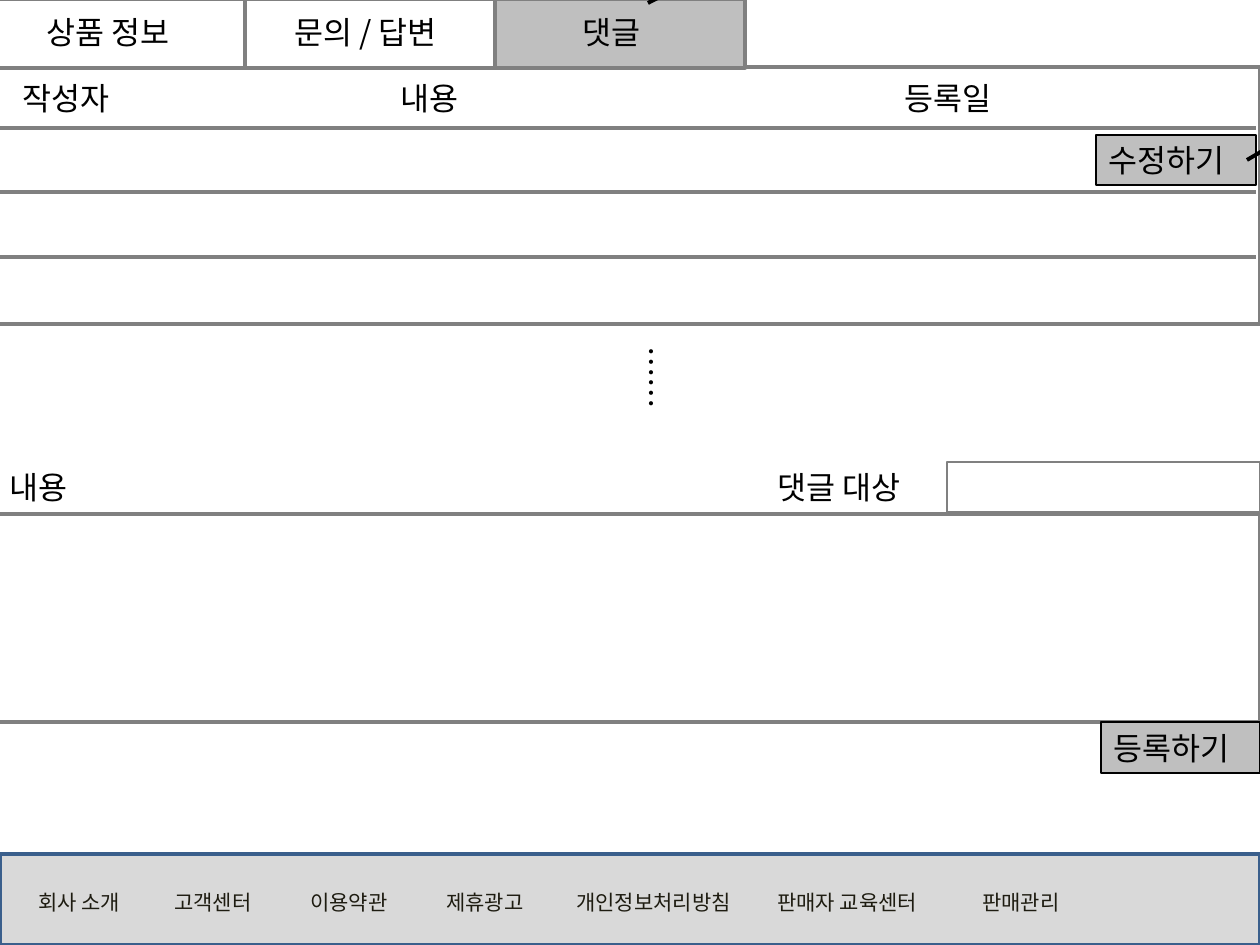
from pptx import Presentation, util as u
from pptx.dml.color import RGBColor
from pptx.enum import shapes, text
from pptx.oxml.ns import qn
from lxml import etree

BLACK = RGBColor(0x00, 0x00, 0x00)
WHITE = RGBColor(0xFF, 0xFF, 0xFF)
GRAY = RGBColor(0x80, 0x80, 0x80)
ACTIVE = RGBColor(0xBF, 0xBF, 0xBF)
FOOTER = RGBColor(0xD9, 0xD9, 0xD9)
NAVY = RGBColor(0x3A, 0x5F, 0x8C)
INK = RGBColor(0x1E, 0x1C, 0x11)
FONT = "Noto Sans CJK KR"
EMU_PER_PX = 914400 / 126


def px(length):
    return u.Emu(round(length * EMU_PER_PX))


class Wireframe:
    """Draws wireframe elements in px on one slide."""

    def __init__(self, slide):
        self.shapes = slide.shapes

    def box(self, x, y, w, h, fill=WHITE, line=GRAY, weight=2):
        box = self.shapes.add_shape(shapes.MSO_SHAPE.RECTANGLE, px(x), px(y), px(w), px(h))
        box.shadow.inherit = False
        if fill is None:
            box.fill.background()
        else:
            box.fill.solid()
            box.fill.fore_color.rgb = fill
        box.line.color.rgb = line
        box.line.width = u.Pt(weight)
        return box

    def set_words(self, shape, words, size=18, color=BLACK, tabs=()):
        frame = shape.text_frame
        frame.word_wrap = True
        frame.vertical_anchor = text.MSO_ANCHOR.MIDDLE
        frame.text = words
        paragraph = frame.paragraphs[0]
        paragraph.alignment = text.PP_ALIGN.LEFT
        if tabs:
            stops = etree.SubElement(paragraph._p.get_or_add_pPr(), qn("a:tabLst"))
            for stop in tabs:
                etree.SubElement(stops, qn("a:tab"), pos=str(px(stop)), algn="l")
        for run in paragraph.runs:
            run.font.size = u.Pt(size)
            run.font.color.rgb = color
            run.font.name = FONT
            etree.SubElement(run._r.get_or_add_rPr(), qn("a:ea"), typeface=FONT)

    def label(self, x, y, w, h, words, **style):
        label = self.shapes.add_textbox(px(x), px(y), px(w), px(h))
        self.set_words(label, words, **style)
        return label

    def button(self, x, y, w, h, words):
        self.set_words(self.box(x, y, w, h, ACTIVE, BLACK, 0.75), words)

    def line(self, x1, y1, x2, y2, color=GRAY, arrow=False):
        line = self.shapes.add_connector(
            shapes.MSO_CONNECTOR.STRAIGHT, px(x1), px(y1), px(x2), px(y2))
        line.line.color.rgb = color
        line.line.width = u.Pt(2.25)
        if arrow:
            etree.SubElement(line.get_or_add_ln(), qn("a:tailEnd"), type="arrow")
        etree.SubElement(line._element.spPr, qn("a:effectLst"))


def main():
    deck = Presentation()
    deck.slide_width, deck.slide_height = px(1260), px(945)
    page = Wireframe(deck.slides.add_slide(deck.slide_layouts[6]))

    page.box(0, 854, 1260, 91, FOOTER, NAVY)
    footer_links = ["회사 소개", "고객센터", "이용약관", "제휴광고",
                    "개인정보처리방침", "판매자 교육센터", "판매관리"]
    page.label(26, 883, 1201, 38, "\t".join(footer_links), size=12, color=INK,
               tabs=(136, 272, 408, 538, 739, 944))

    page.box(-5, 67, 1265, 257)
    page.label(10, 73, 1237, 50, "작성자\t내용\t등록일", tabs=(378, 882))
    for row_y in (128, 192, 257):
        page.line(-9, row_y, 1256, row_y)
    more_rows = page.label(621, 334, 63, 105, "……")
    more_rows.text_frame._txBody.bodyPr.set("vert", "eaVert")

    tabs = [("상품 정보", 34, WHITE), ("문의 / 답변", 282, WHITE), ("댓글", 570, ACTIVE)]
    for i, (_, _, fill) in enumerate(tabs):
        page.box(-5 + 250 * i, -1, 250, 69, fill)
    for title, x, _ in tabs:
        page.label(x, 5, 249, 53, title)
    page.line(648, 3, 777, -63, BLACK, arrow=True)

    page.box(-4, 514, 1264, 208)
    page.label(-3, 462, 159, 50, "내용")
    page.button(1101, 722, 159, 51, "등록하기")
    page.button(1096, 135, 160, 50, "수정하기")
    page.line(1247, 160, 1327, 113, BLACK, arrow=True)

    target_field = page.box(947, 462, 313, 50, None, GRAY, 0.75)
    target_label = page.label(765, 462, 194, 50, "댓글 대상")
    page.shapes.add_group_shape([target_field, target_label])

    deck.save("out.pptx")


if __name__ == "__main__":
    main()
